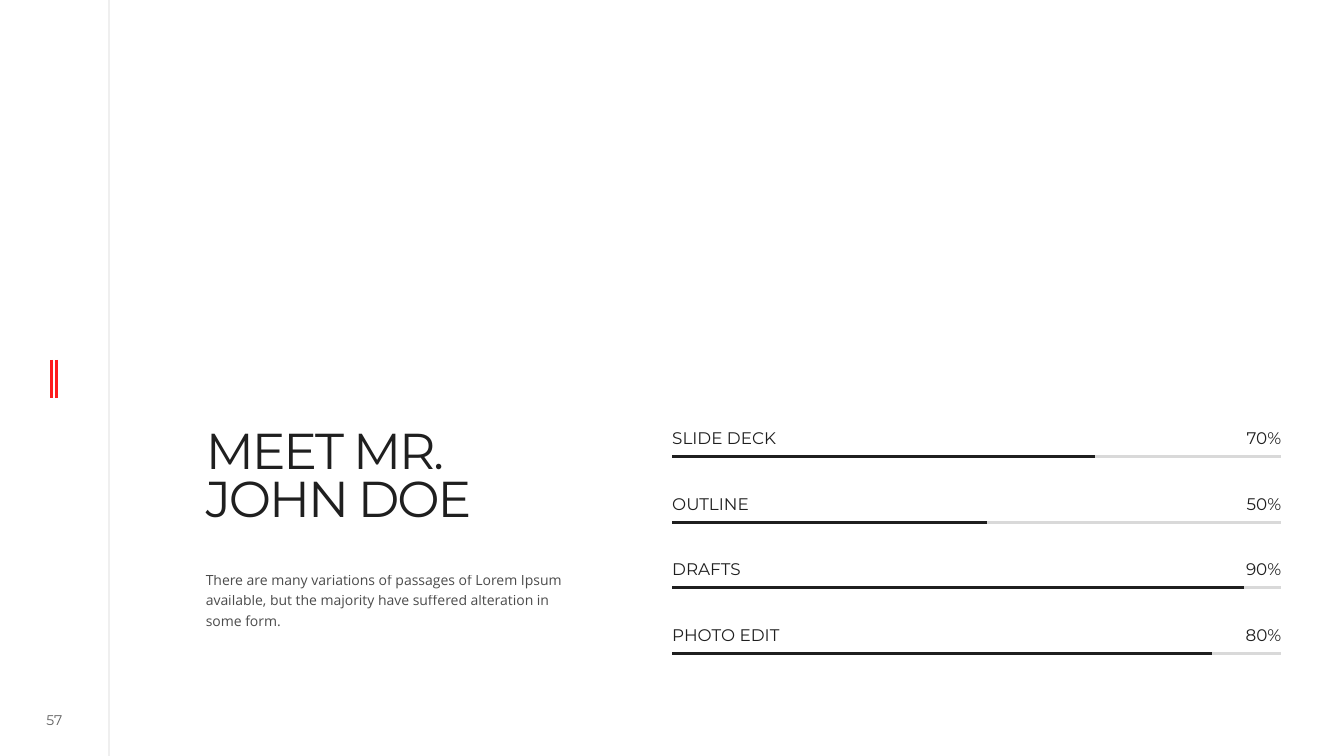
from dataclasses import dataclass

from lxml import etree
from pptx import Presentation, util as u
from pptx.dml.color import RGBColor
from pptx.enum import shapes, text
from pptx.oxml.ns import qn


@dataclass(frozen=True)
class Theme:
    ink: str = "1F1F1F"
    red: str = "FE1C1D"
    track: str = "D9D9D9"
    head: str = "Montserrat"
    body: str = "Open Sans"
    big: int = 36
    mid: int = 12
    small: int = 10


def assign(obj, values):
    for name, value in values.items():
        setattr(obj, name, value)


def paint(fmt, color, alpha=100):
    """Colour a solid fill, with its opacity in percent."""
    fmt.solid()
    fmt.fore_color.rgb = RGBColor.from_string(color)
    if alpha < 100:
        for node in fmt._xPr.iter(qn("a:srgbClr")):
            etree.SubElement(node, qn("a:alpha")).set("val", str(alpha * 1000))


class Page:
    def __init__(self, slide, theme):
        self.theme = theme
        self.top = slide.shapes
        self.host = slide.shapes

    def line(self, x1, y1, x2, y2, color, width=2, alpha=100):
        rule = self.host.add_connector(
            shapes.MSO_CONNECTOR.STRAIGHT, *map(u.Pt, (x1, y1, x2, y2)))
        paint(rule.line.fill, color, alpha)
        rule.line.width = u.Pt(width)
        etree.SubElement(rule._element.spPr, qn("a:effectLst"))

    def text(self, box, words, size, font, frame=None, para=None,
             alpha=100, track=0):
        """Place text; each newline becomes a line break."""
        area = self.host.add_textbox(*map(u.Pt, box)).text_frame
        base = dict(word_wrap=True, margin_left=0, margin_right=0,
                    margin_top=u.Pt(3.6), margin_bottom=u.Pt(3.6))
        assign(area, base | (frame or {}))
        block = area.paragraphs[0]
        assign(block, para or {})
        for i, part in enumerate(words.split("\n")):
            if i:
                block.add_line_break()
            run = block.add_run()
            run.text = part
            assign(run.font, dict(name=font, size=u.Pt(size)))
            paint(run.font.fill, self.theme.ink, alpha)
            if track:
                run._r.get_or_add_rPr().set("spc", str(int(track * 100)))

    def skill(self, x, y, width, name, share, done):
        """A label, its percentage and a progress line, as one group."""
        t = self.theme
        self.host = self.top.add_group_shape().shapes
        self.line(x, y, x + width, y, t.track)
        self.line(x, y, x + done, y, t.ink)
        wide = 200
        fit = dict(auto_size=text.MSO_AUTO_SIZE.SHAPE_TO_FIT_TEXT)
        for left, words, align in (
                (x, name, text.PP_ALIGN.LEFT),
                (x + width - wide, share, text.PP_ALIGN.RIGHT)):
            self.text((left, y - 20.2, wide, 17.3), words, t.mid, t.head, fit,
                      dict(alignment=align, line_spacing=0.7))
        self.host = self.top


def main():
    deck = Presentation()
    assign(deck, dict(slide_width=u.Pt(960), slide_height=u.Pt(540)))
    t = Theme()
    page = Page(deck.slides.add_slide(deck.slide_layouts[6]), t)

    # Side rail with its red mark and page number
    page.line(77.8, 0, 77.8, 540, t.ink, 0.5, 20)
    for x in (36.9, 40.5):
        page.line(x, 257, x, 284.4, t.red)
    page.text((18.7, 505.4, 40.3, 18), "57", t.small, t.head,
              dict(margin_top=0, margin_bottom=0,
                   vertical_anchor=text.MSO_ANCHOR.MIDDLE),
              dict(alignment=text.PP_ALIGN.CENTER), alpha=70)

    # Heading and introduction
    page.text((147, 292.3, 332.6, 127.4), "MEET MR.\nJOHN DOE", t.big, t.head,
              dict(margin_top=u.Pt(15.1), margin_bottom=0),
              dict(line_spacing=0.8), track=-1.5)
    page.text((147, 402.5, 255, 51),
              "There are many variations of passages of Lorem Ipsum available, "
              "but the majority have suffered alteration in some form.",
              t.small, t.body,
              dict(auto_size=text.MSO_AUTO_SIZE.SHAPE_TO_FIT_TEXT),
              dict(line_spacing=1.2), alpha=80)

    # Skills: name, shown share, drawn length
    skills = (("SLIDE DECK", "70%", 302), ("OUTLINE", "50%", 224.6),
              ("DRAFTS", "90%", 408.3), ("PHOTO EDIT", "80%", 385.2))
    for i, (name, share, done) in enumerate(skills):
        page.skill(480.2, 326.2 + i * 46.8, 435, name, share, done)

    deck.save("out.pptx")


if __name__ == "__main__":
    main()
